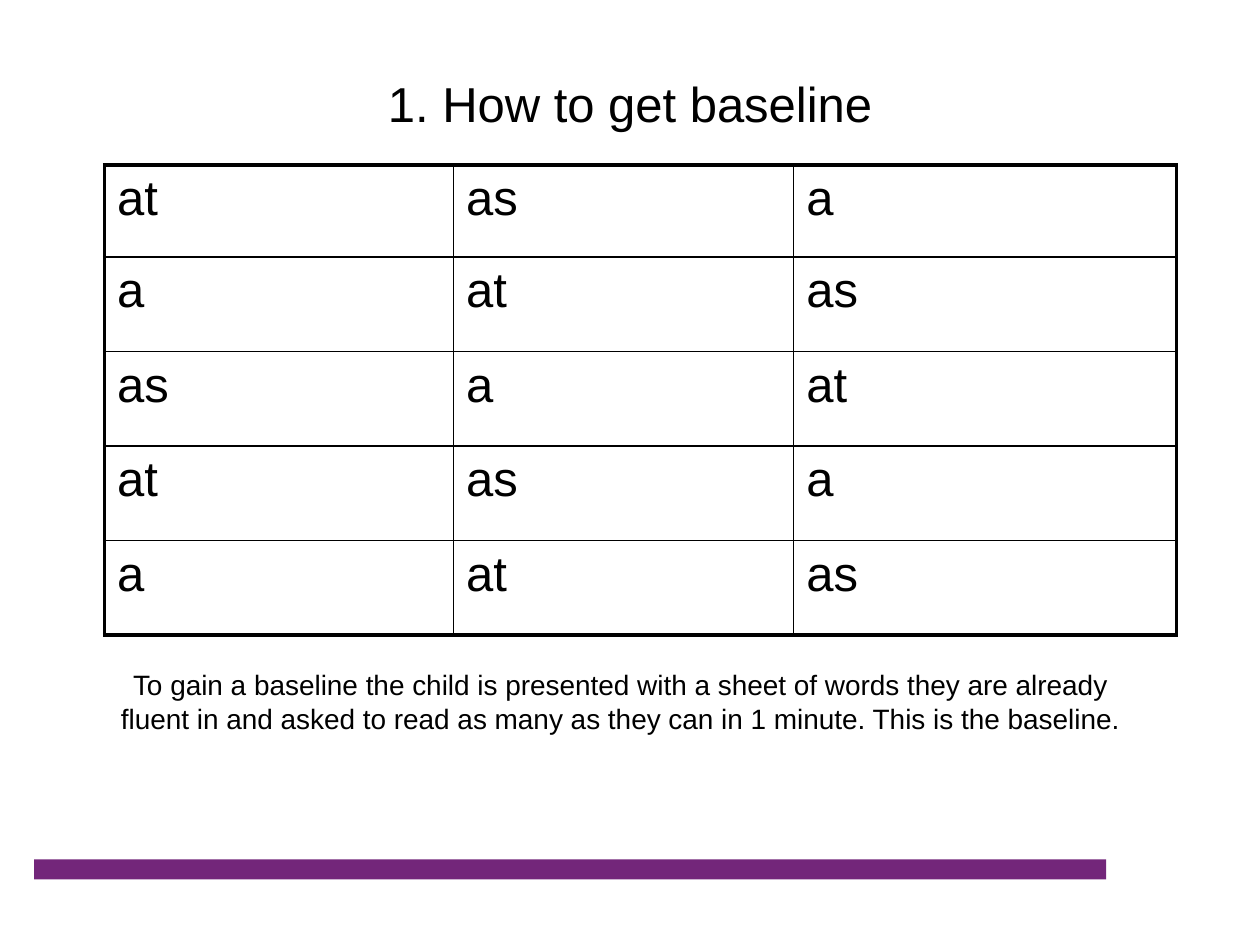
from dataclasses import dataclass

from lxml import etree
from pptx import Presentation
from pptx.dml.color import RGBColor
from pptx.enum import shapes, text
from pptx.oxml.ns import qn
from pptx.util import Pt


@dataclass(frozen=True)
class Theme:
    font: str = "Arial"
    ink: str = "000000"
    bar: str = "73267A"
    large: float = 28
    note: float = 16
    outer: float = 2.25
    inner: float = 1


@dataclass(frozen=True)
class Box:
    left: float
    top: float
    width: float
    height: float

    def emu(self) -> tuple:
        return Pt(self.left), Pt(self.top), Pt(self.width), Pt(self.height)


THEME = Theme()
TITLE = Box(54, 20.16, 612, 77.76)
GRID = Box(59.76, 94.32, 612.72, 268.56)
NOTE = Box(48.24, 378, 612.72, 46.08)
BAR = Box(19.44, 491.04, 612.72, 11.52)

WORDS = ("at", "as", "a")
COLUMN_WIDTHS = (199.44, 194.4, 218.88)
ROW_HEIGHTS = (52.56, 54, 54, 54, 54)
NOTE_TEXT = (
    "To gain a baseline the child is presented with a sheet of words they are "
    "already fluent in and asked to read as many as they can in 1 minute. "
    "This is the baseline."
)


def write(tf, content: str, size: float, align) -> None:
    tf.word_wrap = True
    p = tf.paragraphs[0]
    p.alignment = align
    p.space_before = Pt(0)
    r = p.add_run()
    r.text = content
    r.font.color.rgb = RGBColor.from_string(THEME.ink)
    for name, value in {"name": THEME.font, "size": Pt(size), "bold": False}.items():
        setattr(r.font, name, value)


def set_borders(cell, widths: dict) -> None:
    """Put the border lines ahead of the cell's fill, as the schema requires."""
    tc_pr = cell._tc.get_or_add_tcPr()
    for i, (side, width) in enumerate(widths.items()):
        ln = etree.Element(qn(f"a:ln{side}"), w=str(Pt(width)))
        fill = etree.SubElement(ln, qn("a:solidFill"))
        etree.SubElement(fill, qn("a:srgbClr"), val=THEME.ink)
        tc_pr.insert(i, ln)


def add_bar(s) -> None:
    sp = s.shapes.add_shape(shapes.MSO_SHAPE.RECTANGLE, *BAR.emu())
    sp.shadow.inherit = False
    sp.fill.solid()
    sp.fill.fore_color.rgb = RGBColor.from_string(THEME.bar)
    sp.line.fill.background()


def add_title(s) -> None:
    sp = s.shapes.title
    sp.left, sp.top, sp.width, sp.height = TITLE.emu()
    sp.text_frame.vertical_anchor = text.MSO_ANCHOR.MIDDLE
    write(sp.text_frame, "1. How to get baseline", THEME.large, text.PP_ALIGN.CENTER)


def add_word_grid(s) -> None:
    """Each row shifts the three words one column to the right."""
    rows, cols = len(ROW_HEIGHTS), len(COLUMN_WIDTHS)
    table = s.shapes.add_table(rows, cols, *GRID.emu()).table
    table.first_row = table.horz_banding = False
    for column, width in zip(table.columns, COLUMN_WIDTHS):
        column.width = Pt(width)
    for row, height in zip(table.rows, ROW_HEIGHTS):
        row.height = Pt(height)
    for i in range(rows):
        for j in range(cols):
            cell = table.cell(i, j)
            cell.fill.background()
            edges = {"L": j == 0, "R": j == cols - 1, "T": i == 0, "B": i == rows - 1}
            set_borders(cell, {side: THEME.outer if edge else THEME.inner
                               for side, edge in edges.items()})
            write(cell.text_frame, WORDS[(j - i) % len(WORDS)], THEME.large,
                  text.PP_ALIGN.LEFT)


def add_note(s) -> None:
    tf = s.shapes.add_textbox(*NOTE.emu()).text_frame
    write(tf, NOTE_TEXT, THEME.note, text.PP_ALIGN.CENTER)
    tf.auto_size = text.MSO_AUTO_SIZE.SHAPE_TO_FIT_TEXT


def main() -> None:
    prs = Presentation()
    prs.slide_width, prs.slide_height = Pt(720), Pt(540)
    s = prs.slides.add_slide(prs.slide_layouts.get_by_name("Title Only"))
    for draw in (add_bar, add_title, add_word_grid, add_note):
        draw(s)
    prs.save("out.pptx")


if __name__ == "__main__":
    main()
